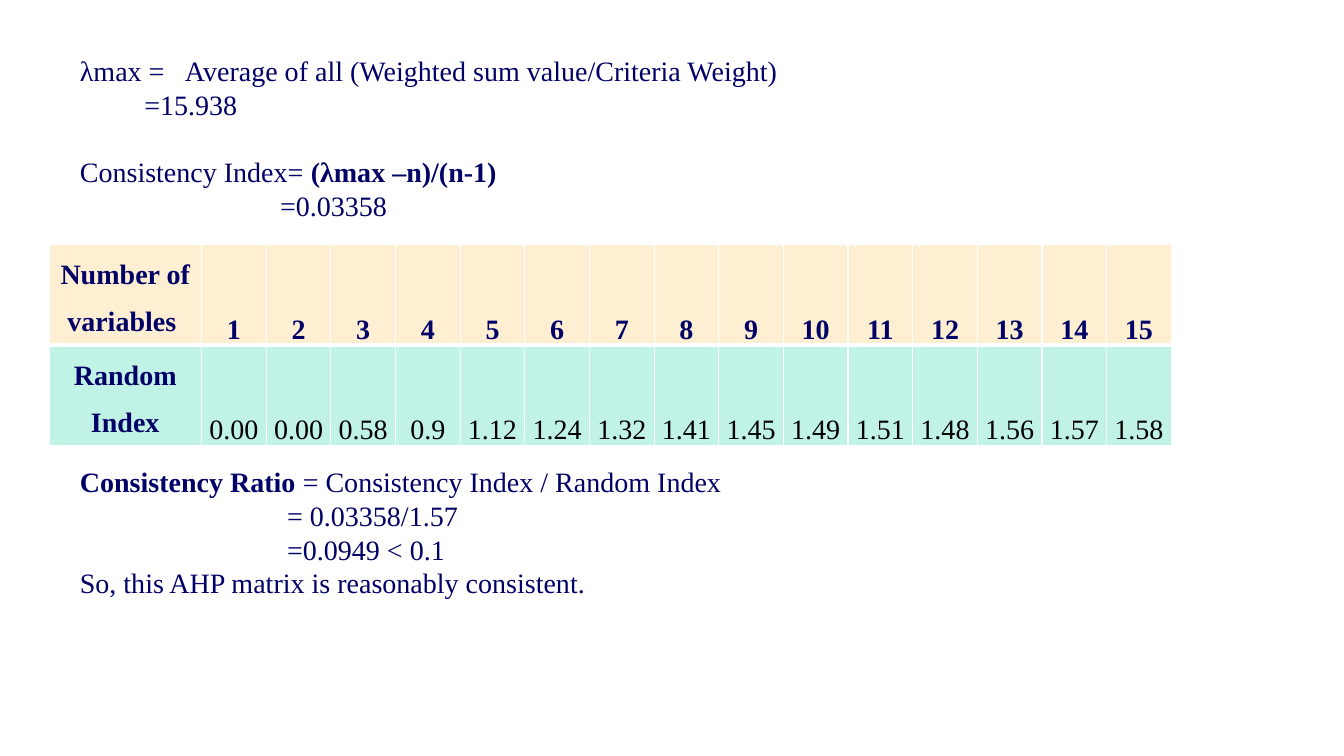
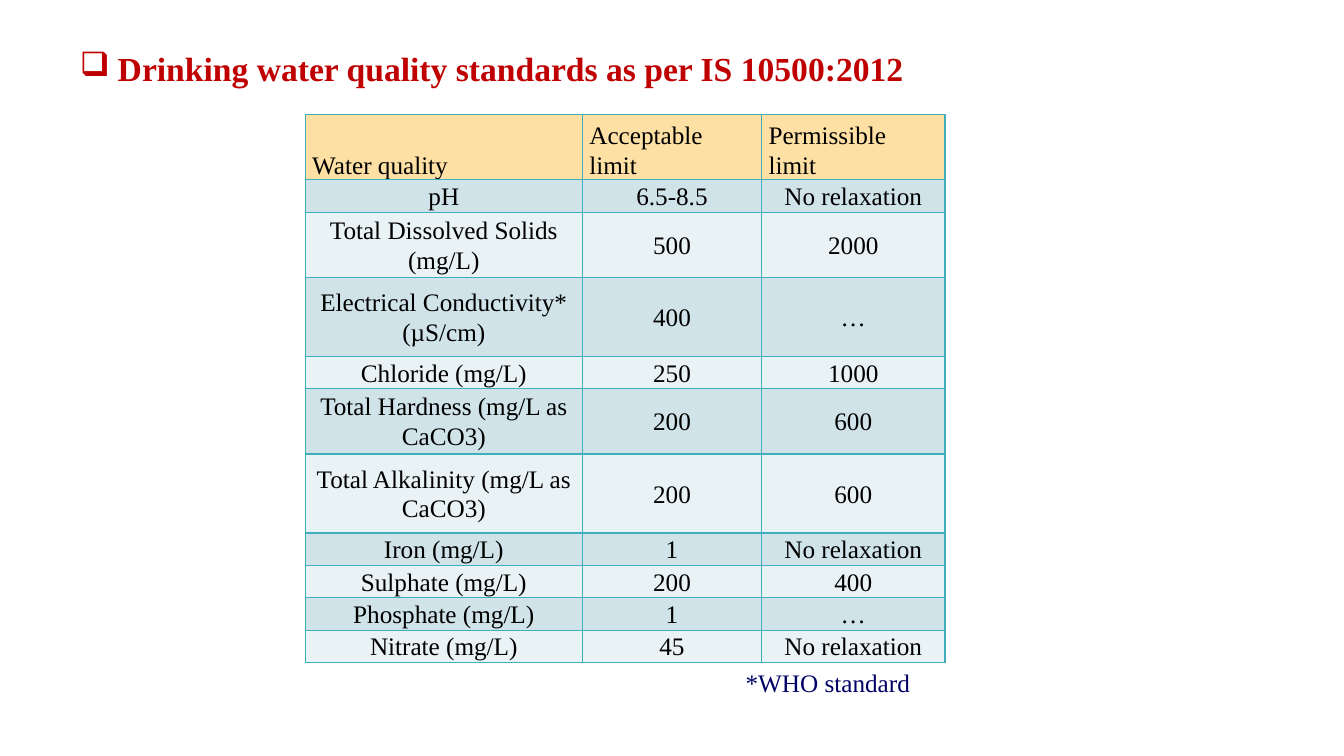
from lxml.etree import SubElement
from pptx import Presentation
from pptx.dml.color import RGBColor
from pptx.enum.text import MSO_ANCHOR as Anchor
from pptx.enum.text import MSO_AUTO_SIZE as AutoSize
from pptx.enum.text import PP_ALIGN as Align
from pptx.oxml.ns import qn
from pptx.util import Pt

COLORS = {
    "navy": "000066", "red": "C00000", "black": "000000", "white": "FFFFFF",
    "cream": "FEEFD2", "mint": "C1F2E6", "amber": "FEE0A4",
    "band": "CFE3E8", "pale": "E9F2F4", "teal": "41AEBD",
}
FONT = "Times New Roman"
BOX_LEFT = 50


class Deck:
    def __init__(self):
        self.deck = Presentation()
        self.deck.slide_width, self.deck.slide_height = Pt(960), Pt(540)
        self.page = None

    def add_page(self):
        self.page = self.deck.slides.add_slide(self.deck.slide_layouts[6])

    def style(self, span, size, color, bold=False):
        for name, value in {"name": FONT, "size": Pt(size), "bold": bold}.items():
            setattr(span.font, name, value)
        span.font.color.rgb = RGBColor.from_string(COLORS[color])

    def text(self, left, top, width, height, lines, size=20, color="navy"):
        """Add a text box; each line is (spans, layout), each span (words, bold)."""
        box = self.page.shapes.add_textbox(Pt(left), Pt(top), Pt(width), Pt(height))
        frame = box.text_frame
        frame.word_wrap = True
        frame.auto_size = AutoSize.SHAPE_TO_FIT_TEXT
        for number, (spans, layout) in enumerate(lines):
            para = frame.add_paragraph() if number else frame.paragraphs[0]
            self.lay_out(para, **layout)
            for words, bold in spans:
                span = para.add_run()
                span.text = words
                self.style(span, size, color, bold)

    def lay_out(self, para, before=0, indent=0, bullet=None, tab=None):
        if before:
            para.space_before = Pt(before)
        props = para._p.get_or_add_pPr()
        if indent:
            props.set("marL", str(Pt(indent)))
            props.set("indent", str(-Pt(indent) if bullet else 0))
        if bullet:
            SubElement(props, qn("a:buChar"), char=bullet)
        if tab:
            stops = SubElement(props, qn("a:tabLst"))
            SubElement(stops, qn("a:tab"), pos=str(Pt(tab)), algn="l")

    def table(self, left, top, widths, heights, rows, border, cell_style):
        """Add a table; cell_style(row, column) gives the format of a cell."""
        frame = self.page.shapes.add_table(
            len(rows), len(widths), Pt(left), Pt(top), Pt(sum(widths)), Pt(sum(heights)))
        grid = frame.table
        grid.first_row = grid.horz_banding = False
        for column, width in zip(grid.columns, widths):
            column.width = Pt(width)
        for row, height in zip(grid.rows, heights):
            row.height = Pt(height)
        for r, values in enumerate(rows):
            for c, value in enumerate(values):
                self.fill_cell(grid.cell(r, c), value, border, **cell_style(r, c))

    def fill_cell(self, cell, value, border, fill, size, spacing, color="black",
                  bold=False, anchor=Anchor.MIDDLE, align=Align.CENTER,
                  top_line=1, bottom_line=1):
        margins = {"margin_left": Pt(5), "margin_right": Pt(5),
                   "margin_top": 0, "margin_bottom": 0}
        for name, amount in {**margins, "vertical_anchor": anchor}.items():
            setattr(cell, name, amount)
        para = cell.text_frame.paragraphs[0]
        para.text = value
        for name, amount in {"alignment": align, "line_spacing": spacing,
                             "space_after": Pt(8)}.items():
            setattr(para, name, amount)
        for span in para.runs:
            self.style(span, size, color, bold)
        props = cell._tc.get_or_add_tcPr()
        for side, weight in {"L": 1, "R": 1, "T": top_line, "B": bottom_line}.items():
            line = SubElement(props, qn(f"a:ln{side}"), w=str(Pt(weight)))
            paint = SubElement(line, qn("a:solidFill"))
            SubElement(paint, qn("a:srgbClr"), val=COLORS[border])
        cell.fill.solid()
        cell.fill.fore_color.rgb = RGBColor.from_string(COLORS[fill])


def index_style(row, column):
    style = {
        "fill": "mint" if row else "cream", "size": 20, "spacing": 1.5,
        "anchor": Anchor.BOTTOM if column else Anchor.TOP,
        "top_line": 3 if row else 1, "bottom_line": 1 if row else 3,
    }
    if row == 0 or column == 0:
        style.update(color="navy", bold=True)
    return style


def standards_style(row, column):
    style = {"fill": "band" if row % 2 else "pale", "size": 18, "spacing": 1.07}
    if row == 0:
        style.update(fill="amber", anchor=Anchor.BOTTOM, align=Align.LEFT)
    return style


def add_consistency_page(deck):
    deck.add_page()
    deck.text(BOX_LEFT, 35, 875, 128, [
        ([("λmax =\tAverage of all (Weighted sum value/Criteria Weight)", False)], {"tab": 75}),
        ([("=15.938", False)], {"indent": 46}),
        ([("Consistency Index= ", False), ("(λmax –n)/(n-1)", True)], {"before": 24}),
        ([("=0.03358", False)], {"indent": 143}),
    ])
    random_index = ["0.00", "0.00", "0.58", "0.9", "1.12", "1.24", "1.32", "1.41",
                    "1.45", "1.49", "1.51", "1.48", "1.56", "1.57", "1.58"]
    count = len(random_index)
    rows = [["Number of variables "] + [str(n + 1) for n in range(count)],
            ["Random Index"] + random_index]
    deck.table(35, 174.5, [109] + [46.2] * count, [71.5] * 2, rows, "white", index_style)
    deck.text(BOX_LEFT, 328.5, 745, 126, [
        ([("Consistency Ratio ", True), ("= Consistency Index / Random Index", False)], {}),
        ([("= 0.03358/1.57", False)], {"indent": 148}),
        ([("=0.0949 < 0.1", False)], {"indent": 148}),
        ([("So, this AHP matrix is reasonably consistent.", False)], {}),
    ])


def add_standards_page(deck):
    deck.add_page()
    deck.text(BOX_LEFT, 31, 768, 36, [
        ([("Drinking water quality standards as per IS 10500:2012", True)],
         {"indent": 27, "bullet": "❑"}),
    ], size=24, color="red")
    rows = [
        ["Water quality", "Acceptable limit", "Permissible limit"],
        ["pH", "6.5-8.5", "No relaxation"],
        ["Total Dissolved Solids\n(mg/L)", "500", "2000"],
        ["Electrical Conductivity*\n(µS/cm)", "400", "…"],
        ["Chloride (mg/L)", "250", "1000"],
        ["Total Hardness (mg/L as CaCO3)", "200", "600"],
        ["Total Alkalinity (mg/L as\nCaCO3)", "200", "600"],
        ["Iron (mg/L)", "1", "No relaxation"],
        ["Sulphate (mg/L)", "200", "400"],
        ["Phosphate (mg/L)", "1", "…"],
        ["Nitrate (mg/L)", "45", "No relaxation"],
    ]
    single, double, tall = 23.1, 46.5, 56.5
    heights = [double] + [single, double, tall] + [single, double, tall] + [single] * 4
    deck.table(218, 82, [198, 128, 131], heights, rows, "teal", standards_style)
    deck.text(525.5, 473, 158, 29, [([("*WHO standard", False)], {})], size=18)


def main():
    deck = Deck()
    add_consistency_page(deck)
    add_standards_page(deck)
    deck.deck.save("out.pptx")


if __name__ == "__main__":
    main()
